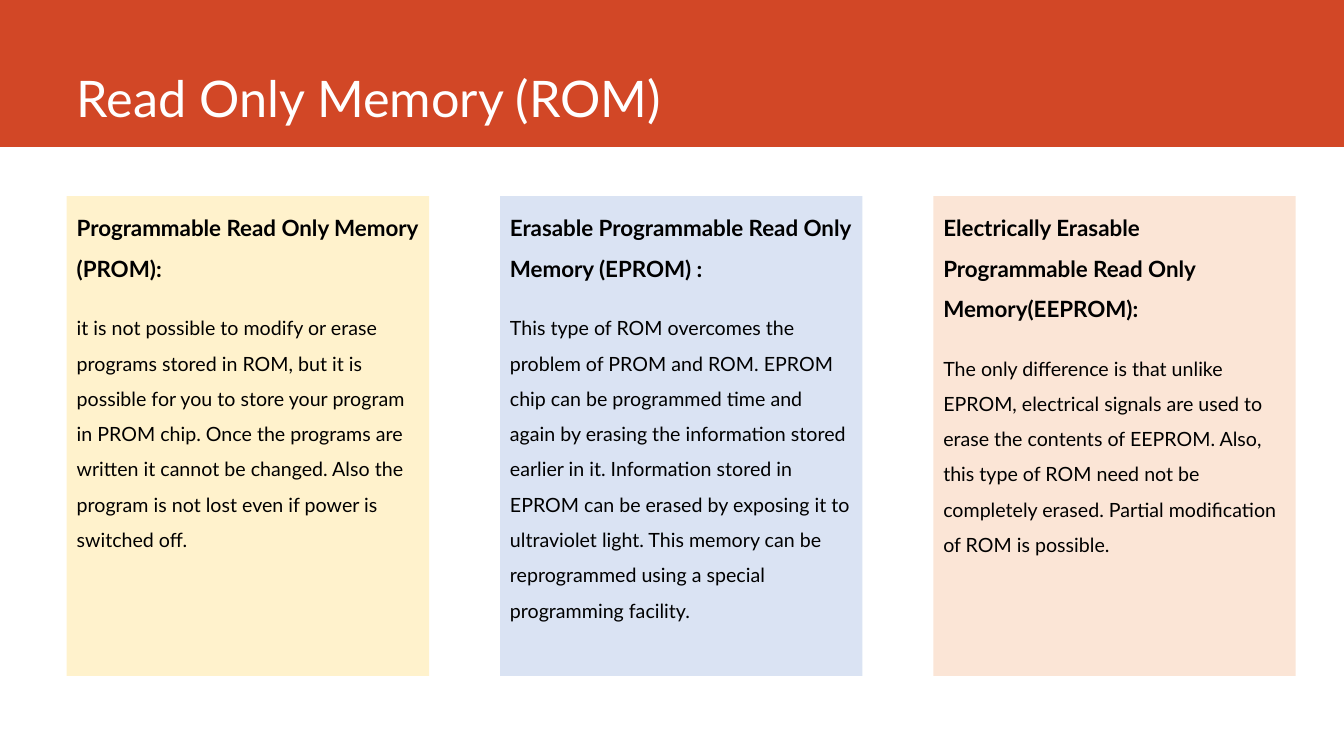
import pptx
import pptx.util
import pptx.dml.color
import pptx.enum.shapes
import pptx.enum.text

Pt = pptx.util.Pt
FONT = "Lato"
COLORS = {
    "band": "D24726",
    "white": "FFFFFF",
    "black": "000000",
    "prom": "FFF2CC",
    "eprom": "DAE3F3",
    "eeprom": "FBE5D6",
}
CARD_LEFT, CARD_TOP, CARD_WIDTH, CARD_HEIGHT = 47.7, 140.2, 258.8, 342.6
CARD_STEP = 309.5
CARDS = [
    ("prom", "Programmable Read Only Memory (PROM):",
     "it is not possible to modify or erase programs stored in ROM, but it is "
     "possible for you to store your program in PROM chip. Once the programs "
     "are written it cannot be changed. Also the program is not lost even if "
     "power is switched off."),
    ("eprom", "Erasable Programmable Read Only Memory (EPROM) :",
     "This type of ROM overcomes the problem of PROM and ROM. EPROM chip can "
     "be programmed time and again by erasing the information stored earlier "
     "in it. Information stored in EPROM can be erased by exposing it to "
     "ultraviolet light. This memory can be reprogrammed using a special "
     "programming facility."),
    ("eeprom", "Electrically Erasable Programmable Read Only Memory(EEPROM):",
     "The only difference is that unlike EPROM, electrical signals are used "
     "to erase the contents of EEPROM. Also, this type of ROM need not be "
     "completely erased. Partial modification of ROM is possible."),
]


def rgb(name):
    return pptx.dml.color.RGBColor.from_string(COLORS[name])


def write(p, text, size, color="black", bold=False, spacing=1.0, before=0, after=0):
    p.alignment = pptx.enum.text.PP_ALIGN.LEFT
    p.line_spacing = spacing
    p.space_before = Pt(before)
    p.space_after = Pt(after)
    r = p.add_run()
    r.text = text
    r.font.name = FONT
    r.font.size = Pt(size)
    r.font.bold = bold
    r.font.color.rgb = rgb(color)


def add_rect(s, left, top, width, height, color):
    sp = s.shapes.add_shape(pptx.enum.shapes.MSO_SHAPE.RECTANGLE,
                            Pt(left), Pt(top), Pt(width), Pt(height))
    sp.shadow.inherit = False
    sp.fill.solid()
    sp.fill.fore_color.rgb = rgb(color)
    sp.line.fill.background()
    return sp


def add_title(s, text):
    title = s.shapes.title
    title.left, title.top, title.width, title.height = Pt(47.7), Pt(0), Pt(846.7), Pt(95)
    tf = title.text_frame
    tf.auto_size = pptx.enum.text.MSO_AUTO_SIZE.NONE
    tf.vertical_anchor = pptx.enum.text.MSO_ANCHOR.BOTTOM
    write(tf.paragraphs[0], text, 36, color="white")
    band = add_rect(s, 0, 0, 960, 105, "band")
    title.element.addprevious(band.element)


def add_card(s, left, color, heading, body):
    sp = add_rect(s, left, CARD_TOP, CARD_WIDTH, CARD_HEIGHT, color)
    tf = sp.text_frame
    tf.word_wrap = True
    tf.vertical_anchor = pptx.enum.text.MSO_ANCHOR.TOP
    write(tf.paragraphs[0], heading, 16, bold=True, spacing=1.5, before=4.8, after=12)
    write(tf.add_paragraph(), body, 14, spacing=1.5, before=4.2, after=12)


def main():
    prs = pptx.Presentation()
    prs.slide_width, prs.slide_height = Pt(960), Pt(540)
    s = prs.slides.add_slide(prs.slide_layouts[5])
    add_title(s, "Read Only Memory (ROM)")
    for i, (color, heading, body) in enumerate(CARDS):
        add_card(s, CARD_LEFT + i * CARD_STEP, color, heading, body)
    prs.save("out.pptx")


if __name__ == "__main__":
    main()
